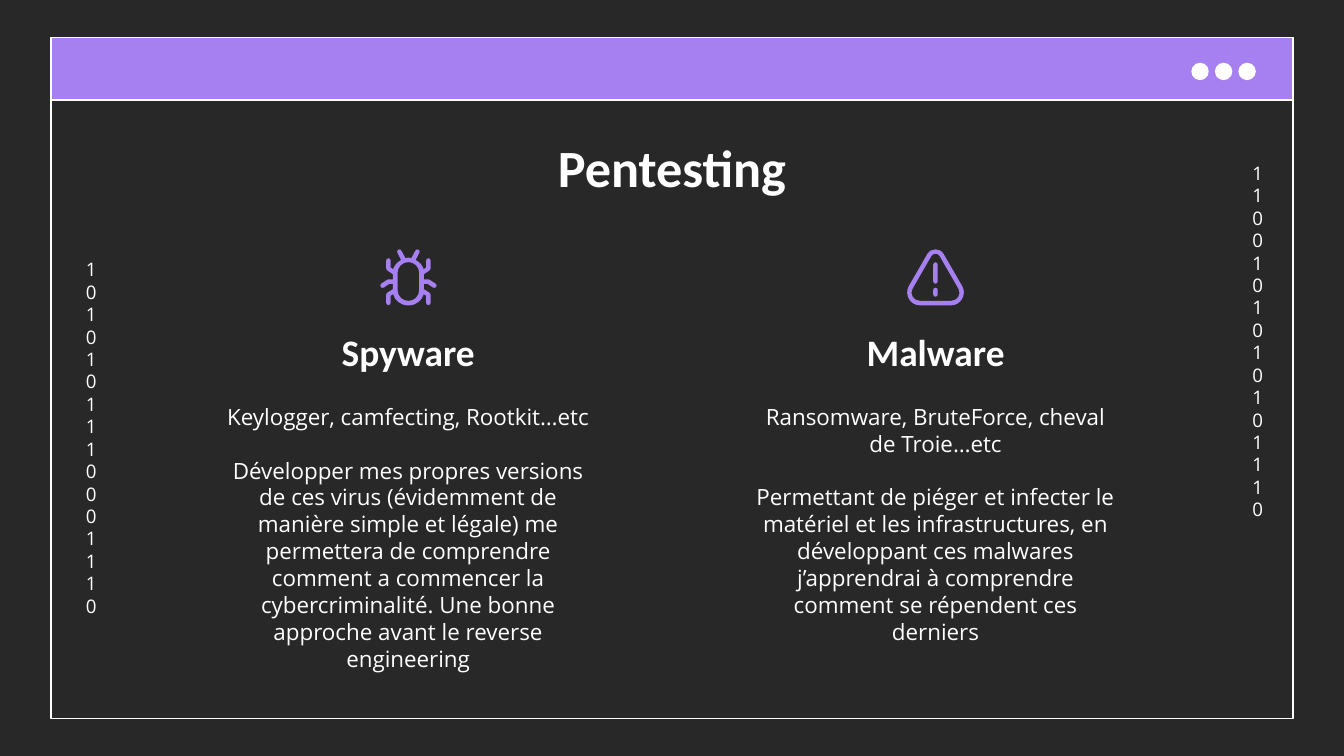
"""Build the Pentesting slide: a window frame with two icon columns."""
from lxml import etree
from pptx import Presentation, util as u
from pptx.dml.color import RGBColor
from pptx.enum import shapes, text
from pptx.oxml import ns

DARK = RGBColor(0x29, 0x28, 0x28)
LILAC = RGBColor(0xA6, 0x7F, 0xF1)
WHITE = RGBColor(0xFF, 0xFF, 0xFF)

TITLE = {"name": "Calibri", "size": u.Pt(28), "bold": True}
HEAD = {"name": "Calibri", "size": u.Pt(20), "bold": True}
BODY = {"name": "Open Sans", "size": u.Pt(12)}
BITS = {"name": "Open Sans", "size": u.Pt(10)}

TOP = text.MSO_ANCHOR.TOP
LOW = text.MSO_ANCHOR.BOTTOM

BUG = [
    [(0, 6.8), (3.2, 6.8, 5.8, 9.4, 5.8, 12.6), (5.8, 21.8),
     (5.8, 25, 3.2, 27.6, 0, 27.6)],
    [(0, 4.4), (1.6, 4.7), (3.7, 0.7), (4, 0, 4.8, -0.2, 5.4, 0.1),
     (6, 0.4, 6.2, 1.2, 5.9, 1.8), (3.9, 5.7),
     (6, 6.8, 7.5, 8.5, 8.2, 10.6), (9.5, 9.7), (9.5, 6),
     (9.5, 4.4, 11.9, 4.4, 11.9, 6), (11.9, 10.3),
     (11.9, 10.8, 11.7, 11.1, 11.3, 11.3), (8.3, 13.3), (8.3, 16.1),
     (10.7, 16.1), (11, 16.1, 11.2, 16.2, 11.4, 16.3), (14.5, 18.3),
     (15.9, 19.3, 14.6, 21.3, 13.1, 20.4), (10.3, 18.5), (8.3, 18.5),
     (8.3, 21.3), (11.3, 23.2), (11.7, 23.5, 11.9, 23.8, 11.9, 24.2),
     (11.9, 28.6), (11.9, 30.2, 9.5, 30.2, 9.5, 28.6), (9.5, 24.8),
     (8.2, 24), (7.3, 27.5, 4, 30, 0, 30)],
]


def bar(top, end):
    """Return the right half of a round-ended upright bar."""
    return [(0, top), (0.7, top, 1.2, top + 0.5, 1.2, top + 1.2),
            (1.2, end - 1.2), (1.2, end - 0.5, 0.7, end, 0, end)]


ALERT = [
    bar(20.6, 25.4),
    bar(7, 18.4),
    [(0, 2.4), (0.9, 2.4, 1.8, 2.8, 2.2, 3.6), (12.3, 21.1),
     (14, 24, 11.8, 27.6, 8.4, 27.6), (0, 27.6)],
    [(0, 0), (1.7, 0, 3.3, 0.8, 4.3, 2.4), (14.4, 19.9),
     (16.8, 24.4, 13.5, 30, 8.4, 30), (0, 30)],
]

COLS = [
    (112.5, 218.8, BUG, "Spyware", [
        "Keylogger, camfecting, Rootkit…etc",
        "Développer mes propres versions de ces virus (évidemment de manière "
        "simple et légale) me permettera de comprendre comment a commencer "
        "la cybercriminalité. Une bonne approche avant le reverse "
        "engineering"], 157),
    (395, 501.2, ALERT, "Malware", [
        "Ransomware, BruteForce, cheval de Troie…etc",
        "Permettant de piéger et infecter le matériel et les "
        "infrastructures, en développant ces malwares j’apprendrai à "
        "comprendre comment se répendent ces derniers"], 138.2),
]


def place(*vals):
    """Turn point values into lengths."""
    return [u.Pt(v) for v in vals]


def panel(slide, kind, box, fill=None):
    """Add a white-lined shape, hollow unless a fill is given."""
    shape = slide.shapes.add_shape(kind, *place(*box))
    shape.shadow.inherit = False
    if fill is None:
        shape.fill.background()
    else:
        shape.fill.solid()
        shape.fill.fore_color.rgb = fill
    shape.line.color.rgb = WHITE
    shape.line.width = u.Pt(0.75)


def label(slide, box, paras, style, anchor=TOP, gap=0):
    """Add a centred white text box with a gap between paragraphs."""
    frame = slide.shapes.add_textbox(*place(*box)).text_frame
    form = {"word_wrap": True, "vertical_anchor": anchor}
    form.update((f"margin_{side}", u.Pt(7.2))
                for side in ("left", "top", "right", "bottom"))
    for key, val in form.items():
        setattr(frame, key, val)
    for i, words in enumerate(paras):
        para = frame.add_paragraph() if i else frame.paragraphs[0]
        para.alignment = text.PP_ALIGN.CENTER
        if i and gap:
            para.space_before = u.Pt(gap)
        run = para.add_run()
        run.text = words
        for key, val in style.items():
            setattr(run.font, key, val)
        run.font.color.rgb = WHITE


def trace(half, mid, top):
    """Return the segments of a half outline and its mirror, in lengths."""
    segs = [list(zip(seg[::2], seg[1::2])) for seg in half]
    back = []
    for last, seg in zip(segs, segs[1:]):
        turn = seg[-2::-1] + last[-1:]
        back.insert(0, [(-x, y) for x, y in turn])
    return [[place(mid + x, top + y) for x, y in seg] for seg in segs + back]


def bend(shape, segs):
    """Turn the line steps that have control points into curves."""
    steps = shape._element.findall(".//" + ns.qn("a:lnTo"))
    for step, seg in zip(steps, segs):
        if len(seg) == 1:
            continue
        step.clear()
        curve = etree.SubElement(step.getparent(), ns.qn("a:cubicBezTo"))
        for x, y in seg:
            etree.SubElement(curve, ns.qn("a:pt"), x=str(x - shape.left),
                             y=str(y - shape.top))
        step.getparent().replace(step, curve)


def icon(slide, mid, top, halves):
    """Add a lilac icon, symmetric about its middle."""
    loops = [trace(half, mid, top) for half in halves]
    pen = slide.shapes.build_freeform(*loops[0][0][0])
    for i, loop in enumerate(loops):
        if i:
            pen.move_to(*loop[0][0])
        pen.add_line_segments([seg[-1] for seg in loop[1:]],
                              close=loop is loops[-1])
    shape = pen.convert_to_shape()
    bend(shape, [seg for loop in loops for seg in loop[1:]])
    shape.shadow.inherit = False
    shape.fill.solid()
    shape.fill.fore_color.rgb = LILAC
    shape.line.fill.background()


def window(slide):
    """Add the window frame, its title bar and three dots."""
    rect = shapes.MSO_SHAPE.RECTANGLE
    panel(slide, rect, (27.4, 20.2, 665.3, 364.7))
    panel(slide, rect, (27.4, 20.2, 665.3, 33.5), LILAC)
    for i in range(3):
        panel(slide, shapes.MSO_SHAPE.OVAL,
              (638.6 + 12.6 * i, 34, 8.6, 8.6), WHITE)


def main():
    """Build and save the slide."""
    deck = Presentation()
    deck.slide_width, deck.slide_height = place(720, 405)
    slide = deck.slides.add_slide(deck.slide_layouts[6])
    back = slide.background.fill
    back.solid()
    back.fore_color.rgb = DARK
    window(slide)
    label(slide, (663.9, 79.4, 17.3, 201.6), ["1100101010101110"], BITS)
    label(slide, (39, 131.1, 17.3, 201.6), ["101010111000111", "0"], BITS)
    label(slide, (56.5, 65.2, 607, 45.4), ["Pentesting"], TITLE)
    for left, mid, mark, head, body, tall in COLS:
        label(slide, (left, 170.2, 212.4, 37.4), [head], HEAD, LOW)
        label(slide, (left, 208.7, 212.4, tall), body, BODY, gap=14.4)
        icon(slide, mid, 133.6, mark)
    deck.save("out.pptx")


if __name__ == "__main__":
    main()
